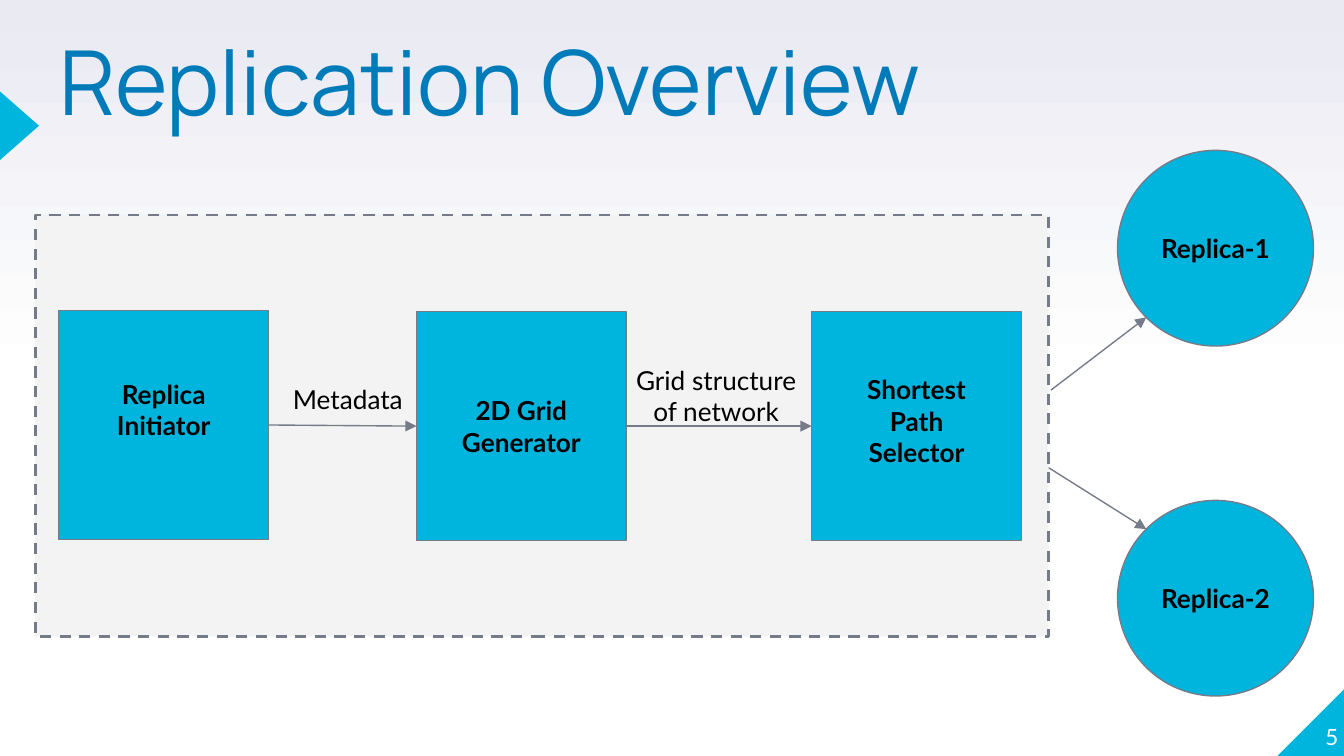
"""Build the Replication Overview slide: a three-step pipeline feeding two replicas."""
from dataclasses import dataclass

from lxml import etree
from pptx import Presentation
from pptx.dml.color import RGBColor
from pptx.enum import dml, shapes, text
from pptx.oxml import ns
from pptx.util import Pt


@dataclass(frozen=True)
class Theme:
    cyan: str = "00B5DD"
    blue: str = "007BB9"
    outline: str = "757B89"
    panel: str = "F3F3F3"
    white: str = "FFFFFF"
    mist: str = "E9EAF2"
    black: str = "000000"
    heading_font: str = "Manrope"
    body_font: str = "Lato"
    title_size: int = 48
    body_size: int = 14
    number_size: int = 12


theme = Theme()
Kind = shapes.MSO_SHAPE
Align = text.PP_ALIGN
Anchor = text.MSO_ANCHOR


def add_block(kind, box, fill, line_width=0):
    shape = slide.shapes.add_shape(kind, *map(Pt, box))
    shape.shadow.inherit = False
    shape.fill.solid()
    shape.fill.fore_color.rgb = RGBColor.from_string(fill)
    if line_width:
        shape.line.color.rgb = RGBColor.from_string(theme.outline)
        shape.line.width = Pt(line_width)
    else:
        shape.line.fill.background()
    return shape


def write(shape, words, size=theme.body_size, color=theme.black, font=theme.body_font,
          bold=False, align=Align.CENTER, anchor=Anchor.MIDDLE, margins=(7.2, 7.2, 7.2, 7.2)):
    frame = shape.text_frame
    frame.text = words
    frame.word_wrap = True
    frame.auto_size = text.MSO_AUTO_SIZE.NONE
    frame.vertical_anchor = anchor
    frame.margin_left, frame.margin_top, frame.margin_right, frame.margin_bottom = map(Pt, margins)
    for paragraph in frame.paragraphs:
        paragraph.alignment = align
        for run in paragraph.runs:
            run.font.name = font
            run.font.size = Pt(size)
            run.font.bold = bold
            run.font.color.rgb = RGBColor.from_string(color)


presentation = Presentation()
presentation.slide_width, presentation.slide_height = Pt(720), Pt(405)
slide = presentation.slides.add_slide(presentation.slide_layouts[5])

background = slide.background.fill
background.gradient()
background.gradient_angle = 90
for stop, position, color in zip(background.gradient_stops, (0.5, 1), (theme.white, theme.mist)):
    stop.position = position
    stop.color.rgb = RGBColor.from_string(color)

title = slide.shapes.title
title.left, title.top, title.width, title.height = Pt(31.7), Pt(25.2), Pt(634.3), Pt(85)
write(title, "Replication Overview", theme.title_size, theme.blue, theme.heading_font,
      align=Align.LEFT, anchor=Anchor.TOP, margins=(0, 0, 0, 0))
title.text_frame.paragraphs[0].line_spacing = 0.8

corner = add_block(Kind.RIGHT_TRIANGLE, (684, 368.6, 36.7, 36.7), theme.cyan)
corner.rotation = 270
marker = add_block(Kind.ISOSCELES_TRIANGLE, (-7.9, 56.9, 36.7, 20.9), theme.cyan)
marker.rotation = 90
panel = add_block(Kind.RECTANGLE, (18.9, 115.2, 542.9, 225.8), theme.panel, 1.5)
panel.line.dash_style = dml.MSO_LINE.DASH

steps = []
for left, top, words, margins in (
    (31.5, 166.4, "Replica Initiator", (14, 7.2, 14, 24)),
    (223.1, 167, "2D Grid\nGenerator", (7.2, 7.2, 7.2, 7.2)),
    (434.8, 167, "Shortest Path Selector", (22, 7.2, 22, 13)),
):
    step = add_block(Kind.RECTANGLE, (left, top, 112.4, 122.6), theme.cyan, 0.75)
    write(step, words, bold=True, margins=margins)
    steps.append(step)

for number, top in enumerate((80.6, 268.1), 1):
    replica = add_block(Kind.OVAL, (598.7, top, 105, 104.8), theme.cyan, 0.75)
    write(replica, f"Replica-{number}", bold=True)

connectors = []
for source, target in zip(steps, steps[1:]):
    connector = slide.shapes.add_connector(shapes.MSO_CONNECTOR.STRAIGHT, 0, 0, 0, 0)
    connector.begin_connect(source, 3)
    connector.end_connect(target, 1)
    connectors.append(connector)
for ends in ((563, 209, 614.1, 170), (561.8, 250.6, 614.1, 283.5)):
    connectors.append(slide.shapes.add_connector(shapes.MSO_CONNECTOR.STRAIGHT, *map(Pt, ends)))
for connector in connectors:
    connector.line.color.rgb = RGBColor.from_string(theme.outline)
    connector.line.width = Pt(0.75)
    properties = connector._element.spPr
    etree.SubElement(properties.find(ns.qn("a:ln")), ns.qn("a:tailEnd"), type="triangle")
    etree.SubElement(properties, ns.qn("a:effectLst"))

for box, words, align in (
    ((149.8, 198, 81.4, 45.4), "Metadata", Align.LEFT),
    ((329, 188, 109.4, 26.6), "Grid structure of network", Align.CENTER),
):
    label = slide.shapes.add_textbox(*map(Pt, box))
    write(label, words, align=align, anchor=Anchor.TOP)

page_number = slide.shapes.add_textbox(Pt(681), Pt(365), Pt(36), Pt(36.7))
write(page_number, "5", theme.number_size, theme.white,
      align=Align.RIGHT, anchor=Anchor.BOTTOM, margins=(0, 0, 0, 0))

presentation.save("out.pptx")
